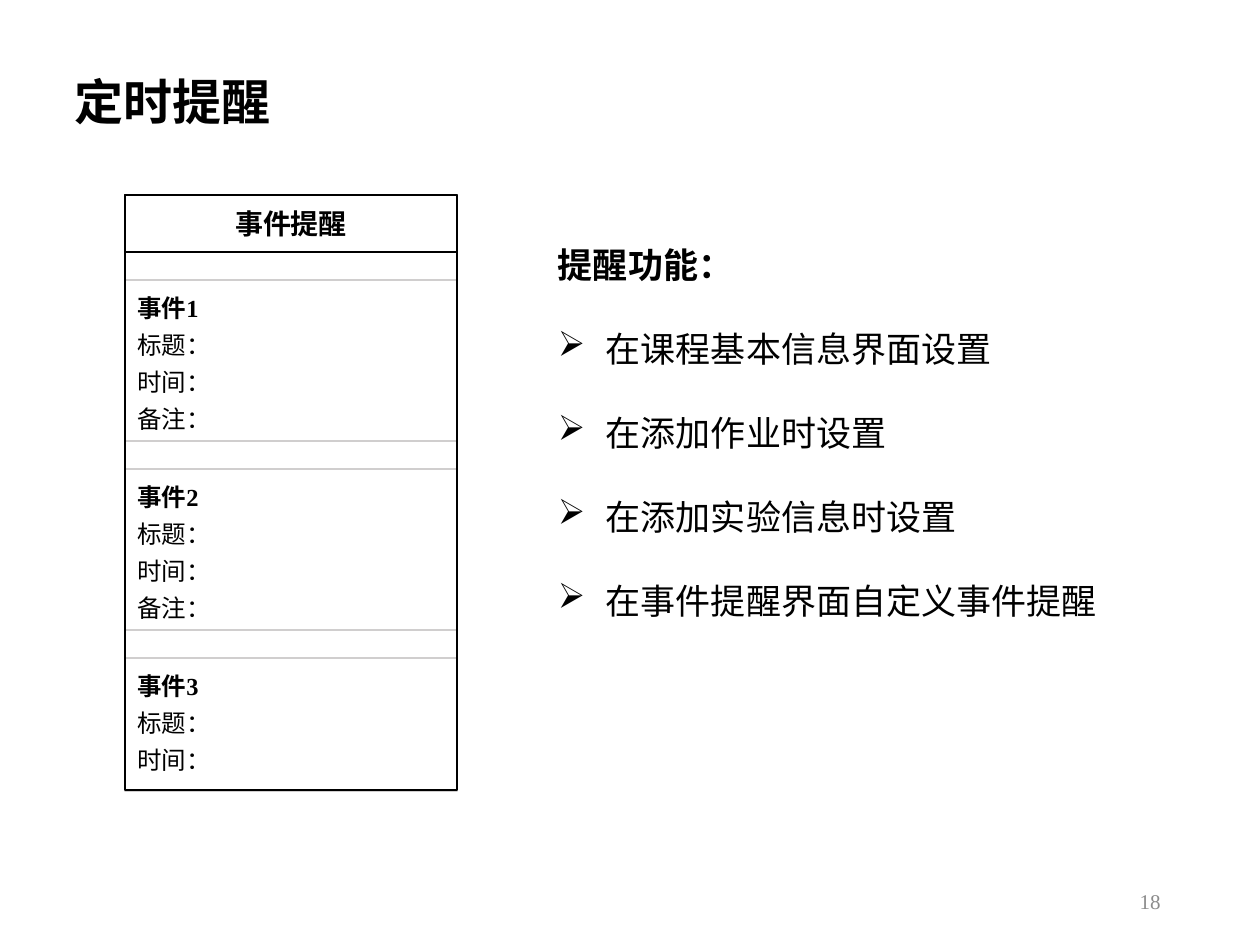
import pptx
import pptx.dml.color
import pptx.enum.shapes
import pptx.enum.text
import pptx.oxml.ns
import pptx.util
from lxml import etree

Inches, Pt = pptx.util.Inches, pptx.util.Pt
RGBColor = pptx.dml.color.RGBColor
PP_ALIGN = pptx.enum.text.PP_ALIGN
MIDDLE = pptx.enum.text.MSO_ANCHOR.MIDDLE
TOP = pptx.enum.text.MSO_ANCHOR.TOP
BLACK = RGBColor(0x00, 0x00, 0x00)
GRAY = RGBColor(0x8C, 0x8C, 0x8C)
SILVER = RGBColor(0xD0, 0xCE, 0xCE)
FONT = "Times New Roman"

TITLE = "定时提醒"
PAGE_NUMBER = "18"
PANEL_TITLE = "事件提醒"
EVENTS = [
    ("事件1", ["标题：", "时间：", "备注："], 1.28),
    ("事件2", ["标题：", "时间：", "备注："], 1.28),
    ("事件3", ["标题：", "时间："], 1.06),
]
FEATURE_TITLE = "提醒功能："
FEATURES = ["在课程基本信息界面设置", "在添加作业时设置", "在添加实验信息时设置", "在事件提醒界面自定义事件提醒"]

PANEL_LEFT, PANEL_TOP, PANEL_WIDTH, PANEL_HEIGHT = 0.99, 1.55, 2.64, 4.72
HEADER_HEIGHT = 0.45
EVENT_GAP = 0.22
BULLET_INDENT = Inches(0.38)

presentation = pptx.Presentation()
presentation.slide_width, presentation.slide_height = Inches(10), Inches(7.5)
slide = presentation.slides.add_slide(presentation.slide_layouts[6])


def write(shape, lines, size, color=BLACK, spacing=1.0, align=PP_ALIGN.LEFT, anchor=TOP, wrap=True):
    frame = shape.text_frame
    frame.word_wrap = wrap
    frame.vertical_anchor = anchor
    for index, (text, bold) in enumerate(lines):
        paragraph = frame.paragraphs[0] if index == 0 else frame.add_paragraph()
        paragraph.alignment = align
        paragraph.line_spacing = spacing
        run = paragraph.add_run()
        run.text = text
        run.font.name = FONT
        run.font.size = Pt(size)
        run.font.bold = bold
        run.font.color.rgb = color
    return frame


def add_text(box, lines, size, **style):
    shape = slide.shapes.add_textbox(*map(Inches, box))
    return write(shape, lines, size, **style)


def add_frame(box, color, width):
    shape = slide.shapes.add_shape(pptx.enum.shapes.MSO_SHAPE.RECTANGLE, *map(Inches, box))
    shape.shadow.inherit = False
    shape.fill.background()
    shape.line.color.rgb = color
    shape.line.width = Pt(width)
    return shape


def add_bullet(paragraph):
    properties = paragraph._p.get_or_add_pPr()
    properties.set("marL", str(BULLET_INDENT))
    properties.set("indent", str(-BULLET_INDENT))
    bullet = etree.SubElement(properties, pptx.oxml.ns.qn("a:buChar"))
    bullet.set("char", "➢")


title = add_text((0.59, 0.62, 1.58, 0.42), [(TITLE, True)], 28, spacing=0.9, anchor=MIDDLE, wrap=False)
title.margin_left = title.margin_right = title.margin_top = title.margin_bottom = 0

add_text((7.06, 6.95, 2.25, 0.4), [(PAGE_NUMBER, False)], 12, color=GRAY, align=PP_ALIGN.RIGHT, anchor=MIDDLE)

features = add_text(
    (4.33, 1.55, 4.51, 3.47),
    [(FEATURE_TITLE, True)] + [(feature, False) for feature in FEATURES],
    20, spacing=2.0, wrap=False)
for paragraph in features.paragraphs[1:]:
    add_bullet(paragraph)

header = add_frame((PANEL_LEFT, PANEL_TOP, PANEL_WIDTH, HEADER_HEIGHT), BLACK, 1)
write(header, [(PANEL_TITLE, True)], 16, align=PP_ALIGN.CENTER, anchor=MIDDLE)

event_top = PANEL_TOP + HEADER_HEIGHT + EVENT_GAP
for name, fields, height in EVENTS:
    event = add_frame((PANEL_LEFT, event_top, PANEL_WIDTH, height), SILVER, 1.25)
    write(event, [(name, True)] + [(field, False) for field in fields], 14, spacing=1.25)
    event_top += height + EVENT_GAP

add_frame((PANEL_LEFT, PANEL_TOP, PANEL_WIDTH, PANEL_HEIGHT), BLACK, 1.25)

presentation.save("out.pptx")
